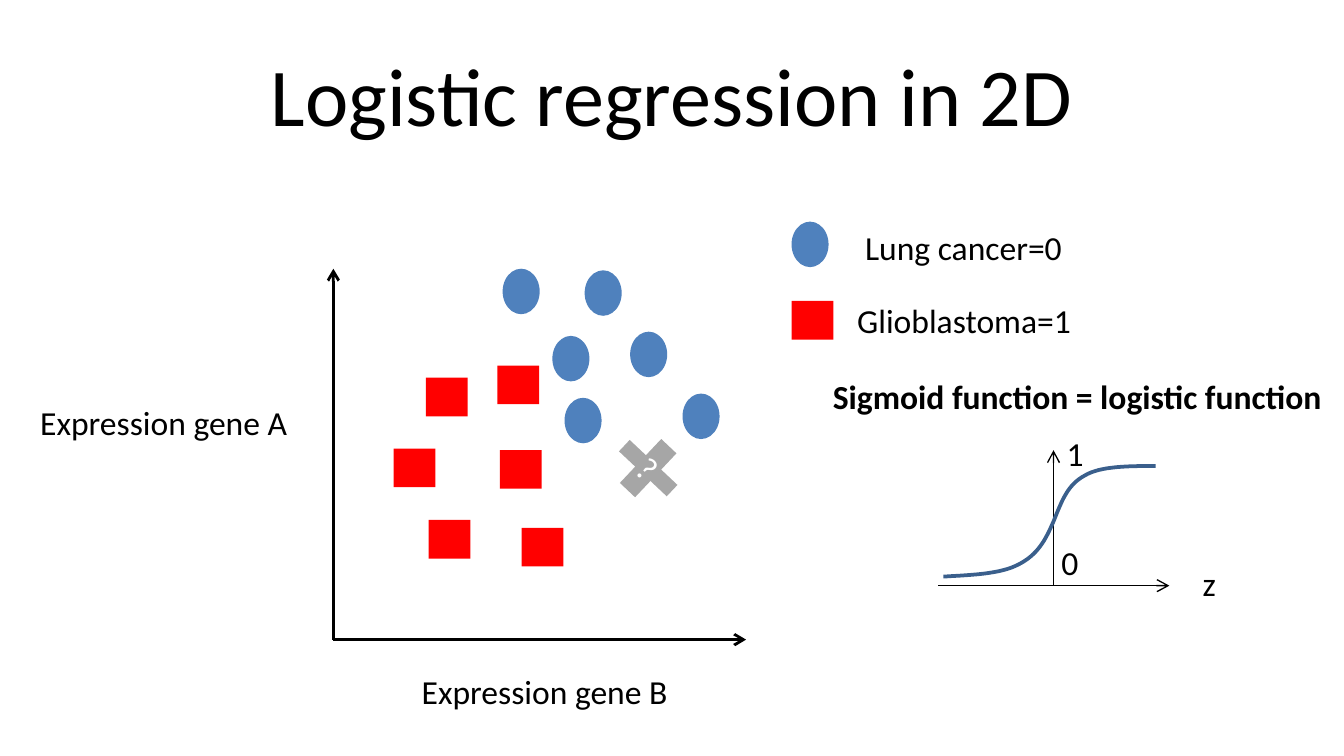
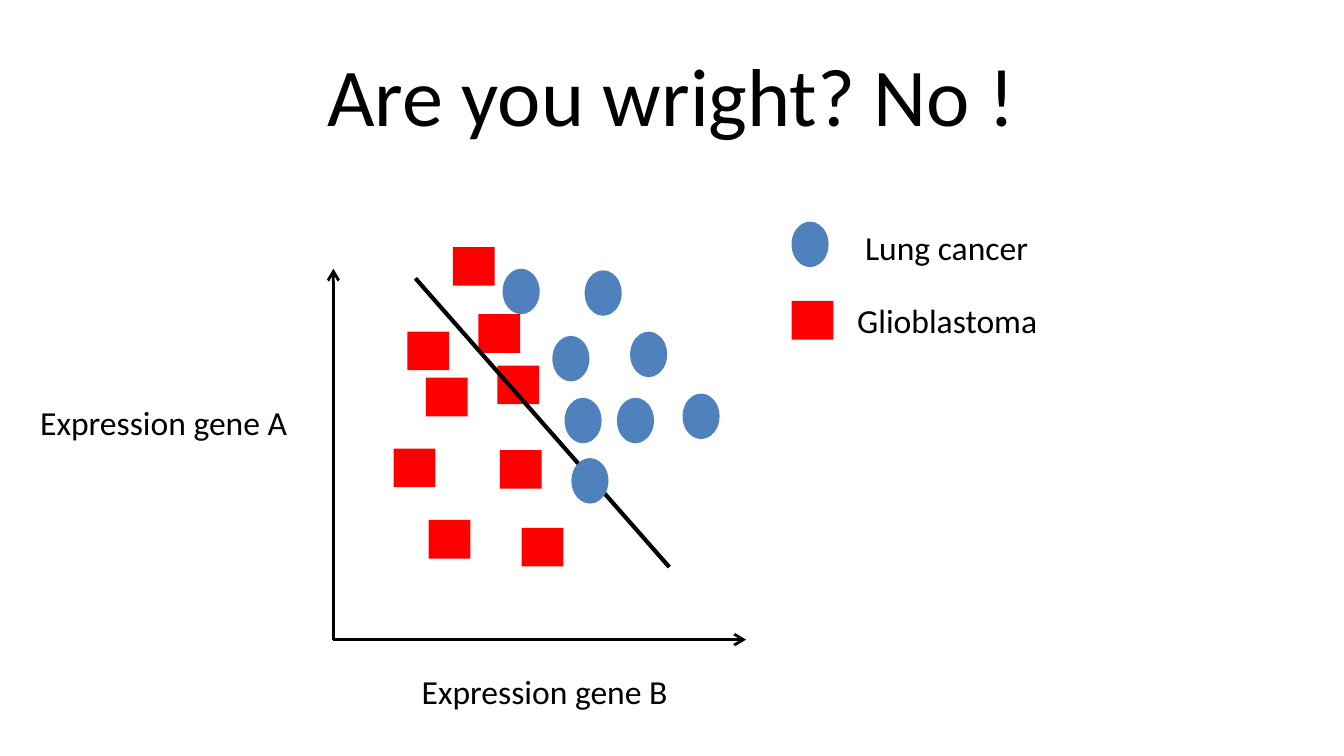
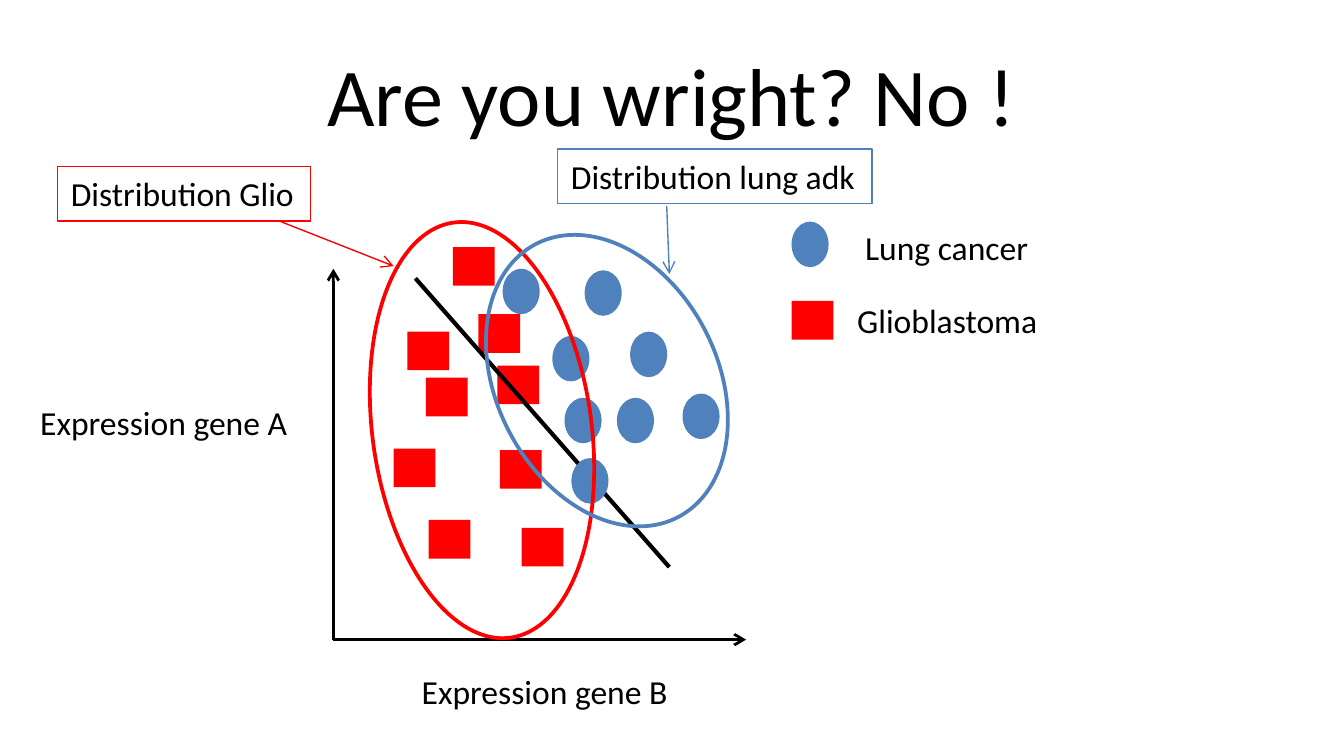
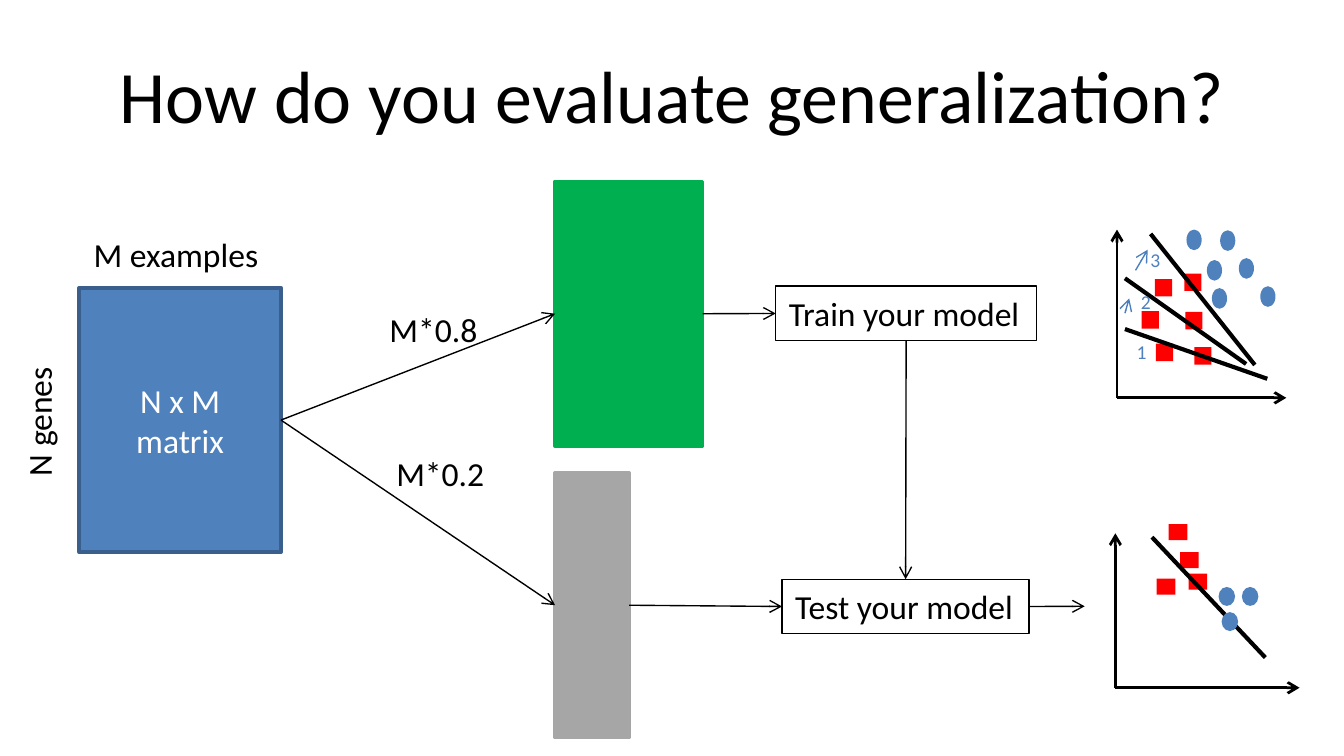
from dataclasses import dataclass
from typing import NamedTuple, Optional

import lxml.etree
import pptx
import pptx.dml.color
import pptx.enum.shapes
import pptx.enum.text
import pptx.oxml.ns
import pptx.util

Cm = pptx.util.Cm
Preset = pptx.enum.shapes.MSO_SHAPE
Align = pptx.enum.text.PP_ALIGN

FONT = "Calibri"
BLACK, WHITE, GREY = "000000", "FFFFFF", "A6A6A6"
LUNG_BLUE, GLIO_RED, TRAIN_GREEN = "4F81BD", "FF0000", "00B050"
DARK_BLUE, STEP_BLUE = "3A5F8C", "4B7EBC"
LABEL_HEIGHT = 1.03


class Point(NamedTuple):
    x: float
    y: float


class Box(NamedTuple):
    left: float
    top: float
    width: float
    height: float


class Stroke(NamedTuple):
    color: str
    points: float


@dataclass(frozen=True)
class Label:
    text: str
    box: Box
    size: float = 18
    color: str = BLACK
    bold: bool = False
    border: Optional[str] = None
    rotation: float = 0


@dataclass(frozen=True)
class Marker:
    preset: int
    width: float
    height: float
    color: str


GLIO = Marker(Preset.RECTANGLE, 0.79, 0.73, GLIO_RED)
LUNG = Marker(Preset.OVAL, 0.70, 0.86, LUNG_BLUE)

THIN, AXIS, BOUNDARY = Stroke(BLACK, 0.75), Stroke(BLACK, 1.5), Stroke(BLACK, 2.25)

FULL_PLOT = Box(6.30, 5.08, 7.80, 7.01)
TRAIN_PLOT = Box(21.11, 4.34, 3.20, 3.18)
TEST_PLOT = Box(21.08, 10.08, 3.48, 2.92)

GLIO_KNOWN = [Point(3.10, 1.83), Point(1.80, 4.75), Point(1.75, 2.06),
              Point(1.14, 3.40), Point(3.15, 3.43), Point(3.56, 4.90)]
LUNG_KNOWN = [Point(3.20, 0), Point(4.14, 1.27), Point(4.75, 0.03),
              Point(6.60, 2.36), Point(5.61, 1.19), Point(4.37, 2.44)]
GLIO_NEW = [Point(2.74, 0.86), Point(2.26, -0.41), Point(1.40, 1.19)]
LUNG_NEW = [Point(5.36, 2.44), Point(4.50, 3.58)]
GLIO_TEST = [GLIO_NEW[0], GLIO_NEW[1], GLIO_KNOWN[0], GLIO_KNOWN[2]]
LUNG_TEST = [LUNG_KNOWN[-1], *LUNG_NEW]
SEPARATION = (Point(1.55, 0.18), Point(6.35, 5.64))

SIGMOID = [Point(17.83, 10.90),
           Point(18.36, 10.87), Point(18.92, 10.85), Point(19.25, 10.67),
           Point(19.61, 10.49), Point(19.76, 10.21), Point(19.91, 9.86),
           Point(20.07, 9.47), Point(20.17, 9.17), Point(20.50, 8.99),
           Point(20.80, 8.81), Point(21.34, 8.81), Point(21.84, 8.81)]


def rgb(color: str):
    return pptx.dml.color.RGBColor.from_string(color)


def lengths(values):
    return [Cm(value) for value in values]


def style_text(shape, text: str, size: float, color: str, align, bold: bool = False):
    shape.text_frame.text = text
    paragraph = shape.text_frame.paragraphs[0]
    paragraph.alignment = align
    font = paragraph.font
    font.name, font.size, font.bold = FONT, pptx.util.Pt(size), bold
    font.color.rgb = rgb(color)


def set_stroke(shape, stroke: Optional[Stroke]):
    if stroke is None:
        shape.line.fill.background()
    else:
        shape.line.color.rgb = rgb(stroke.color)
        shape.line.width = pptx.util.Pt(stroke.points)


def add_figure(slide, preset, box: Box, fill: Optional[str] = None,
               stroke: Optional[Stroke] = None, rotation: float = 0):
    figure = slide.shapes.add_shape(preset, *lengths(box))
    figure.shadow.inherit = False
    figure.rotation = rotation
    if fill is None:
        figure.fill.background()
    else:
        figure.fill.solid()
        figure.fill.fore_color.rgb = rgb(fill)
    set_stroke(figure, stroke)
    return figure


def add_caption(figure, text: str):
    style_text(figure, text, 18, WHITE, Align.CENTER)
    figure.text_frame.word_wrap = True
    figure.text_frame.vertical_anchor = pptx.enum.text.MSO_ANCHOR.MIDDLE


def add_label(slide, label: Label):
    box = slide.shapes.add_textbox(*lengths(label.box))
    box.rotation = label.rotation
    style_text(box, label.text, label.size, label.color, Align.LEFT, label.bold)
    box.text_frame.word_wrap = False
    box.text_frame.auto_size = pptx.enum.text.MSO_AUTO_SIZE.SHAPE_TO_FIT_TEXT
    if label.border:
        set_stroke(box, Stroke(label.border, 0.75))
    return box


def add_line(slide, start: Point, end: Point, stroke: Stroke, arrow: bool = False):
    line = slide.shapes.add_connector(
        pptx.enum.shapes.MSO_CONNECTOR.STRAIGHT, *lengths((*start, *end)))
    set_stroke(line, stroke)
    qn = pptx.oxml.ns.qn
    if arrow:
        lxml.etree.SubElement(line.line._get_or_add_ln(), qn("a:tailEnd"), type="arrow")
    lxml.etree.SubElement(line._element.spPr, qn("a:effectLst"))
    return line


def join(slide, source, source_side: int, target, target_side: int):
    arrow = add_line(slide, Point(0, 0), Point(1, 1), THIN, arrow=True)
    arrow.begin_connect(source, source_side)
    arrow.end_connect(target, target_side)


def add_marker(slide, marker: Marker, at: Point, x_scale: float = 1, y_scale: float = 1):
    add_figure(slide, marker.preset,
               Box(at.x, at.y, marker.width * x_scale, marker.height * y_scale),
               marker.color)


def add_plot(slide, frame: Box, glio: list, lung: list, separated: bool):
    x_scale, y_scale = frame.width / FULL_PLOT.width, frame.height / FULL_PLOT.height

    def place(point: Point) -> Point:
        return Point(frame.left + point.x * x_scale, frame.top + point.y * y_scale)

    origin = Point(frame.left, frame.top + frame.height)
    for tip in (Point(frame.left, frame.top), Point(frame.left + frame.width, origin.y)):
        add_line(slide, origin, tip, AXIS, arrow=True)
    for sample in glio:
        add_marker(slide, GLIO, place(sample), x_scale, y_scale)
    if separated:
        add_line(slide, *map(place, SEPARATION), BOUNDARY)
    for sample in lung:
        add_marker(slide, LUNG, place(sample), x_scale, y_scale)


def add_axis_names(slide):
    add_label(slide, Label("Expression gene A", Box(0.51, 7.47, 5.23, LABEL_HEIGHT)))
    add_label(slide, Label("Expression gene B", Box(7.72, 12.55, 5.23, LABEL_HEIGHT)))


def add_legend(slide, lung_name: str, lung_width: float, glio_name: str, glio_width: float):
    add_marker(slide, LUNG, Point(14.96, 4.19))
    add_marker(slide, GLIO, Point(14.96, 5.69))
    add_label(slide, Label(lung_name, Box(16.10, 4.17, lung_width, LABEL_HEIGHT)))
    add_label(slide, Label(glio_name, Box(15.95, 5.54, glio_width, LABEL_HEIGHT)))


def add_titled_slide(deck, title: str, size: float = 44):
    slide = deck.slides.add_slide(deck.slide_layouts[5])
    heading = slide.shapes.title
    heading.left, heading.top, heading.width, heading.height = lengths((1.27, 0.58, 22.86, 2.39))
    style_text(heading, title, size, BLACK, Align.CENTER)
    heading.text_frame.vertical_anchor = pptx.enum.text.MSO_ANCHOR.MIDDLE
    return slide


def curve_points(controls: list, steps: int = 16) -> list:
    points = [controls[0]]
    for first in range(0, len(controls) - 1, 3):
        segment = controls[first:first + 4]
        for step in range(1, steps + 1):
            t = step / steps
            weights = ((1 - t) ** 3, 3 * t * (1 - t) ** 2, 3 * t ** 2 * (1 - t), t ** 3)
            points.append(Point(sum(w * p.x for w, p in zip(weights, segment)),
                                sum(w * p.y for w, p in zip(weights, segment))))
    return points


def add_sigmoid(slide):
    origin = Point(19.91, 11.07)
    add_line(slide, origin, Point(origin.x, 8.51), THIN, arrow=True)
    add_line(slide, Point(17.73, origin.y), Point(22.10, origin.y), THIN, arrow=True)
    start, *rest = [lengths(point) for point in curve_points(SIGMOID)]
    builder = slide.shapes.build_freeform(*start)
    builder.add_line_segments(rest, close=False)
    curve = builder.convert_to_shape()
    curve.shadow.inherit = False
    curve.fill.background()
    set_stroke(curve, Stroke(DARK_BLUE, 2))
    for label in (
        Label("1", Box(19.91, 8.05, 0.84, LABEL_HEIGHT)),
        Label("0", Box(19.81, 10.11, 0.84, LABEL_HEIGHT)),
        Label("z", Box(22.48, 10.52, 0.76, LABEL_HEIGHT)),
        Label("Sigmoid function = logistic function",
              Box(15.49, 6.99, 9.83, LABEL_HEIGHT), bold=True),
    ):
        add_label(slide, label)


def build_regression_slide(deck):
    slide = add_titled_slide(deck, "Logistic regression in 2D")
    add_sigmoid(slide)
    add_plot(slide, FULL_PLOT, GLIO_KNOWN, LUNG_KNOWN, separated=False)
    add_axis_names(slide)
    add_legend(slide, "Lung cancer=0", 4.42, "Glioblastoma=1", 4.75)
    unknown = add_figure(slide, Preset.CROSS, Box(11.63, 8.28, 1.24, 1.14), GREY, rotation=43.3)
    unknown.adjustments[0] = 0.371
    add_caption(unknown, "?")


def build_new_samples_slide(deck):
    slide = add_titled_slide(deck, "Are you wright? No !")
    add_axis_names(slide)
    add_legend(slide, "Lung cancer", 3.78, "Glioblastoma", 4.09)
    add_plot(slide, FULL_PLOT, GLIO_NEW + GLIO_KNOWN, LUNG_KNOWN + LUNG_NEW, separated=True)
    return slide


def build_distributions_slide(deck):
    slide = build_new_samples_slide(deck)
    for name, color, spread, rotation, name_box, start, end in (
        ("Distribution Glio", GLIO_RED, Box(7.04, 4.17, 4.14, 7.92), 352.2,
         Box(1.09, 3.15, 4.78, LABEL_HEIGHT), Point(5.31, 4.19), Point(7.44, 5.03)),
        ("Distribution lung adk", LUNG_BLUE, Box(8.56, 5.11, 5.82, 4.17), 62.5,
         Box(10.54, 2.82, 5.94, LABEL_HEIGHT), Point(12.60, 3.89), Point(12.65, 5.18)),
    ):
        add_figure(slide, Preset.OVAL, spread, stroke=Stroke(color, 2), rotation=rotation)
        add_label(slide, Label(name, name_box, border=color))
        add_line(slide, start, end, Stroke(color, 0.75), arrow=True)


def add_training_steps(slide):
    for start, end in ((Point(21.26, 6.22), Point(23.95, 7.16)),
                       (Point(21.26, 5.26), Point(23.55, 6.88))):
        add_line(slide, start, end, BOUNDARY)
    for start, end in ((Point(21.26, 5.92), Point(21.34, 5.64)),
                       (Point(21.46, 5.11), Point(21.69, 4.72))):
        add_line(slide, start, end, Stroke(STEP_BLUE, 0.75), arrow=True)
    steps = (Point(21.23, 6.30), Point(21.31, 5.36), Point(21.49, 4.57))
    for number, at in enumerate(steps, start=1):
        add_label(slide, Label(str(number), Box(*at, 0.71, 0.74), 10.5, LUNG_BLUE))


def build_generalization_slide(deck):
    slide = add_titled_slide(deck, "How do you evaluate generalization?", 39.6)
    matrix = add_figure(slide, Preset.RECTANGLE, Box(1.50, 5.44, 3.81, 5.00),
                        LUNG_BLUE, Stroke(DARK_BLUE, 2))
    add_caption(matrix, "N x M matrix")
    matrix.text_frame.margin_left = matrix.text_frame.margin_right = Cm(0.4)
    training_set = add_figure(slide, Preset.RECTANGLE, Box(10.49, 3.43, 2.79, 5.00),
                              TRAIN_GREEN, Stroke(TRAIN_GREEN, 2))
    test_set = add_figure(slide, Preset.RECTANGLE, Box(10.49, 8.94, 1.40, 5.00),
                          GREY, Stroke(GREY, 2))
    for label in (
        Label("N genes", Box(-0.56, 7.44, 2.59, LABEL_HEIGHT), rotation=270),
        Label("M examples", Box(1.52, 4.29, 3.66, LABEL_HEIGHT)),
        Label("M*0.8", Box(7.11, 5.72, 2.18, LABEL_HEIGHT)),
        Label("M*0.2", Box(7.24, 8.43, 2.18, LABEL_HEIGHT)),
    ):
        add_label(slide, label)
    train = add_label(slide, Label("Train your model",
                                   Box(14.66, 5.41, 4.93, LABEL_HEIGHT), border=BLACK))
    test = add_label(slide, Label("Test your model",
                                  Box(14.78, 10.95, 4.67, LABEL_HEIGHT), border=BLACK))
    for source, source_side, target, target_side in (
        (matrix, 3, training_set, 1),
        (matrix, 3, test_set, 1),
        (training_set, 3, train, 1),
        (test_set, 3, test, 1),
        (train, 2, test, 0),
    ):
        join(slide, source, source_side, target, target_side)
    result = add_line(slide, Point(19.45, 11.46), Point(20.50, 11.46), THIN, arrow=True)
    result.begin_connect(test, 3)
    add_plot(slide, TRAIN_PLOT, GLIO_KNOWN, LUNG_KNOWN, separated=True)
    add_training_steps(slide)
    add_plot(slide, TEST_PLOT, GLIO_TEST, LUNG_TEST, separated=True)


def main():
    deck = pptx.Presentation()
    deck.slide_width, deck.slide_height = Cm(25.4), Cm(14.29)
    build_regression_slide(deck)
    build_new_samples_slide(deck)
    build_distributions_slide(deck)
    build_generalization_slide(deck)
    deck.save("out.pptx")


if __name__ == "__main__":
    main()
